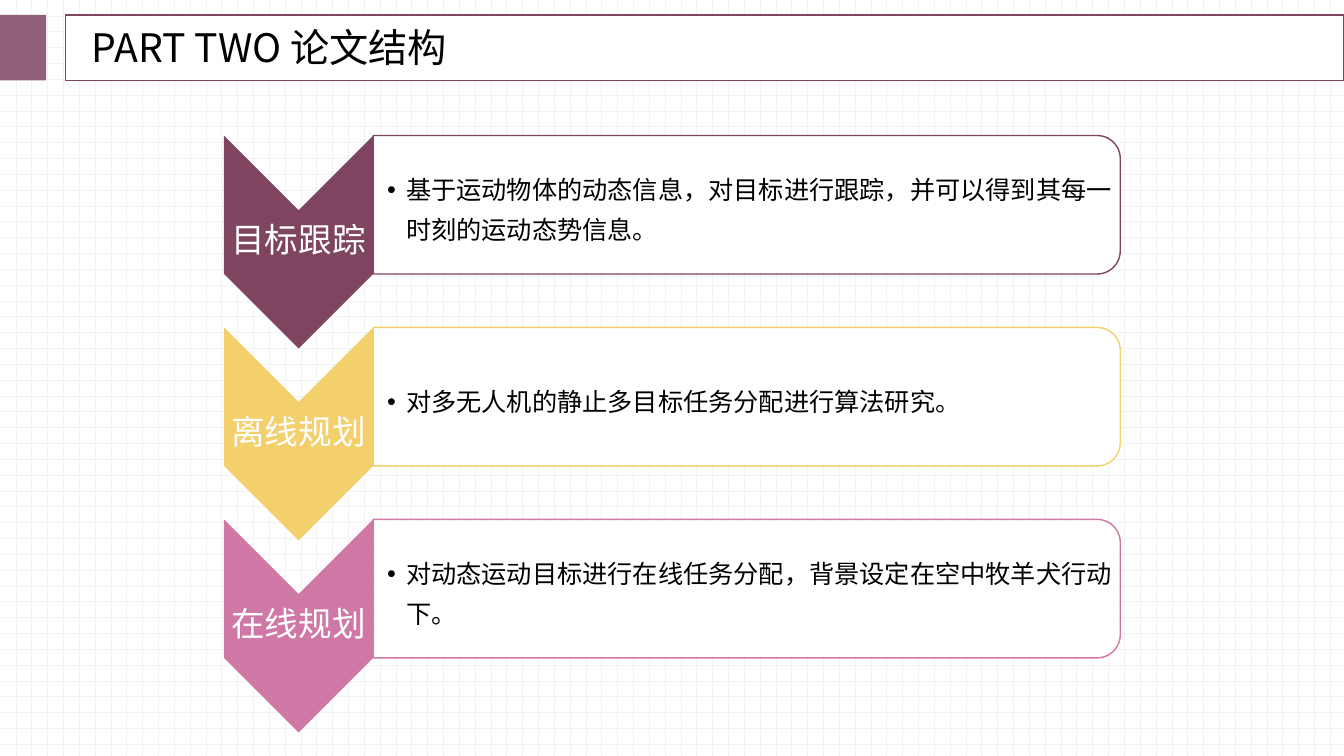
import pptx
import pptx.dml.color
import pptx.enum.dml
import pptx.enum.shapes
import pptx.enum.text
import pptx.oxml
import pptx.oxml.ns
import pptx.util

Pt = pptx.util.Pt
RGBColor = pptx.dml.color.RGBColor
Shape = pptx.enum.shapes.MSO_SHAPE
Align = pptx.enum.text.PP_ALIGN
Anchor = pptx.enum.text.MSO_ANCHOR

PLUM = RGBColor(0x7E, 0x44, 0x60)
YELLOW = RGBColor(0xF3, 0xD0, 0x6C)
PINK = RGBColor(0xD0, 0x78, 0xA5)
WHITE = RGBColor(0xFF, 0xFF, 0xFF)
BLACK = RGBColor(0, 0, 0)
GRID = RGBColor(0xF2, 0xF2, 0xF2)

TEXT_FONT = "Noto Sans CJK SC"
LABEL_FONT = "League Spartan"

SECTIONS = [
    ("目标跟踪", "基于运动物体的动态信息，对目标进行跟踪，并可以得到其每一时刻的运动态势信息。", PLUM),
    ("离线规划", "对多无人机的静止多目标任务分配进行算法研究。", YELLOW),
    ("在线规划", "对动态运动目标进行在线任务分配，背景设定在空中牧羊犬行动下。", PINK),
]
FIRST_TOP, ROW_STEP = 96.8, 137.1
CHEVRON_LEFT, CHEVRON_WIDTH, CHEVRON_HEIGHT = 160, 106.6, 152.2
PANEL_LEFT, PANEL_WIDTH, PANEL_HEIGHT = 266.6, 533.6, 98.9

TITLE_FRAME = dict(vertical_anchor=Anchor.TOP)
TITLE_PARAGRAPH = dict(alignment=Align.LEFT, line_spacing=0.9)
TITLE_FONT = dict(name=TEXT_FONT, size=Pt(28), bold=False)

LABEL_FRAME = dict(vertical_anchor=Anchor.MIDDLE, margin_left=Pt(1.5),
                   margin_right=Pt(1.5), margin_top=Pt(1.5), margin_bottom=Pt(1.5))
LABEL_PARAGRAPH = dict(alignment=Align.CENTER, line_spacing=0.9)
LABEL_TEXT = dict(name=LABEL_FONT, size=Pt(24), bold=False)

DETAIL_FRAME = dict(vertical_anchor=Anchor.MIDDLE, margin_left=Pt(10),
                    margin_right=Pt(0.8), margin_top=Pt(0.8), margin_bottom=Pt(0.8))
DETAIL_PARAGRAPH = dict(level=1, alignment=Align.LEFT, line_spacing=1.3)
DETAIL_TEXT = dict(name=TEXT_FONT, size=Pt(18), bold=False)


def apply(target, values):
    for name, value in values.items():
        setattr(target, name, value)


def place(item, left, top, width, height):
    apply(item, dict(left=Pt(left), top=Pt(top), width=Pt(width), height=Pt(height)))


def add_block(slide, preset, box, fill, opacity=100, outline=None, rotation=0):
    """Add a filled shape; box is its visible extent, even after a quarter turn."""
    left, top, width, height = box
    if rotation:
        left, top = left + (width - height) / 2, top + (height - width) / 2
        width, height = height, width
    block = slide.shapes.add_shape(preset, Pt(left), Pt(top), Pt(width), Pt(height))
    block.rotation = rotation
    block.shadow.inherit = False
    block.fill.solid()
    block.fill.fore_color.rgb = fill
    if opacity < 100:
        color = block.fill._xPr.find(".//" + pptx.oxml.ns.qn("a:srgbClr"))
        pptx.oxml.ns.qn("a:alpha")
        color.append(pptx.oxml.parse_xml(
            f'<a:alpha {pptx.oxml.ns.nsdecls("a")} val="{opacity * 1000}"/>'))
    if outline is None:
        block.line.fill.background()
    else:
        block.line.color.rgb = outline
        block.line.width = Pt(1)


def write(holder, text, color, frame_format, paragraph_format, font_format):
    frame = holder.text_frame
    apply(frame, dict(frame_format, word_wrap=True,
                      auto_size=pptx.enum.text.MSO_AUTO_SIZE.NONE))
    paragraph = frame.paragraphs[0]
    apply(paragraph, dict(paragraph_format, space_before=Pt(0)))
    run = paragraph.add_run()
    run.text = text
    apply(run.font, font_format)
    run.font.color.rgb = color
    run.font._element.append(pptx.oxml.parse_xml(
        f'<a:ea {pptx.oxml.ns.nsdecls("a")} typeface="{font_format["name"]}"/>'))
    return paragraph


def add_bullet(paragraph, indent):
    properties = paragraph._p.get_or_add_pPr()
    properties.set("marL", str(Pt(indent)))
    properties.set("indent", str(-Pt(indent)))
    properties.append(pptx.oxml.parse_xml(
        f'<a:buChar {pptx.oxml.ns.nsdecls("a")} char="•"/>'))


def bring_to_front(slide, holder):
    slide.shapes._spTree.append(holder._element)


def add_header(slide):
    add_block(slide, Shape.RECTANGLE, (0, 10.6, 33, 46.8), PLUM, 85)
    add_block(slide, Shape.RECTANGLE, (46.8, 10.6, 913.2, 46.8), WHITE, 85, PLUM)
    title = slide.shapes.title
    place(title, 58.4, 16.6, 383, 41.8)
    write(title, "PART TWO 论文结构", BLACK, TITLE_FRAME, TITLE_PARAGRAPH, TITLE_FONT)
    bring_to_front(slide, title)


def add_section(slide, detail, top, label_text, detail_text, color):
    add_block(slide, Shape.CHEVRON,
              (CHEVRON_LEFT, top, CHEVRON_WIDTH, CHEVRON_HEIGHT), color, rotation=90)
    label = slide.shapes.add_textbox(
        Pt(CHEVRON_LEFT), Pt(top + 53.4), Pt(CHEVRON_WIDTH), Pt(45.4))
    write(label, label_text, WHITE, LABEL_FRAME, LABEL_PARAGRAPH, LABEL_TEXT)

    add_block(slide, Shape.ROUND_2_SAME_RECTANGLE,
              (PANEL_LEFT, top, PANEL_WIDTH, PANEL_HEIGHT), WHITE, 90, color, 90)
    place(detail, PANEL_LEFT, top + 5, PANEL_WIDTH - 5, PANEL_HEIGHT - 9.6)
    add_bullet(write(detail, detail_text, BLACK,
                     DETAIL_FRAME, DETAIL_PARAGRAPH, DETAIL_TEXT), 13.5)
    bring_to_front(slide, detail)


def add_grid_background(slide):
    fill = slide.background.fill
    fill.patterned()
    fill.pattern = pptx.enum.dml.MSO_PATTERN.DOTTED_GRID
    fill.fore_color.rgb = GRID
    fill.back_color.rgb = WHITE


def main():
    deck = pptx.Presentation()
    deck.slide_width, deck.slide_height = Pt(960), Pt(540)
    comparison_layout = deck.slide_layouts[4]
    slide = deck.slides.add_slide(comparison_layout)
    details = list(slide.placeholders)[1:]

    add_grid_background(slide)
    add_header(slide)
    for row, (detail, section) in enumerate(zip(details, SECTIONS)):
        add_section(slide, detail, FIRST_TOP + row * ROW_STEP, *section)
    for unused in details[len(SECTIONS):]:
        slide.shapes._spTree.remove(unused._element)
    deck.save("out.pptx")


if __name__ == "__main__":
    main()
